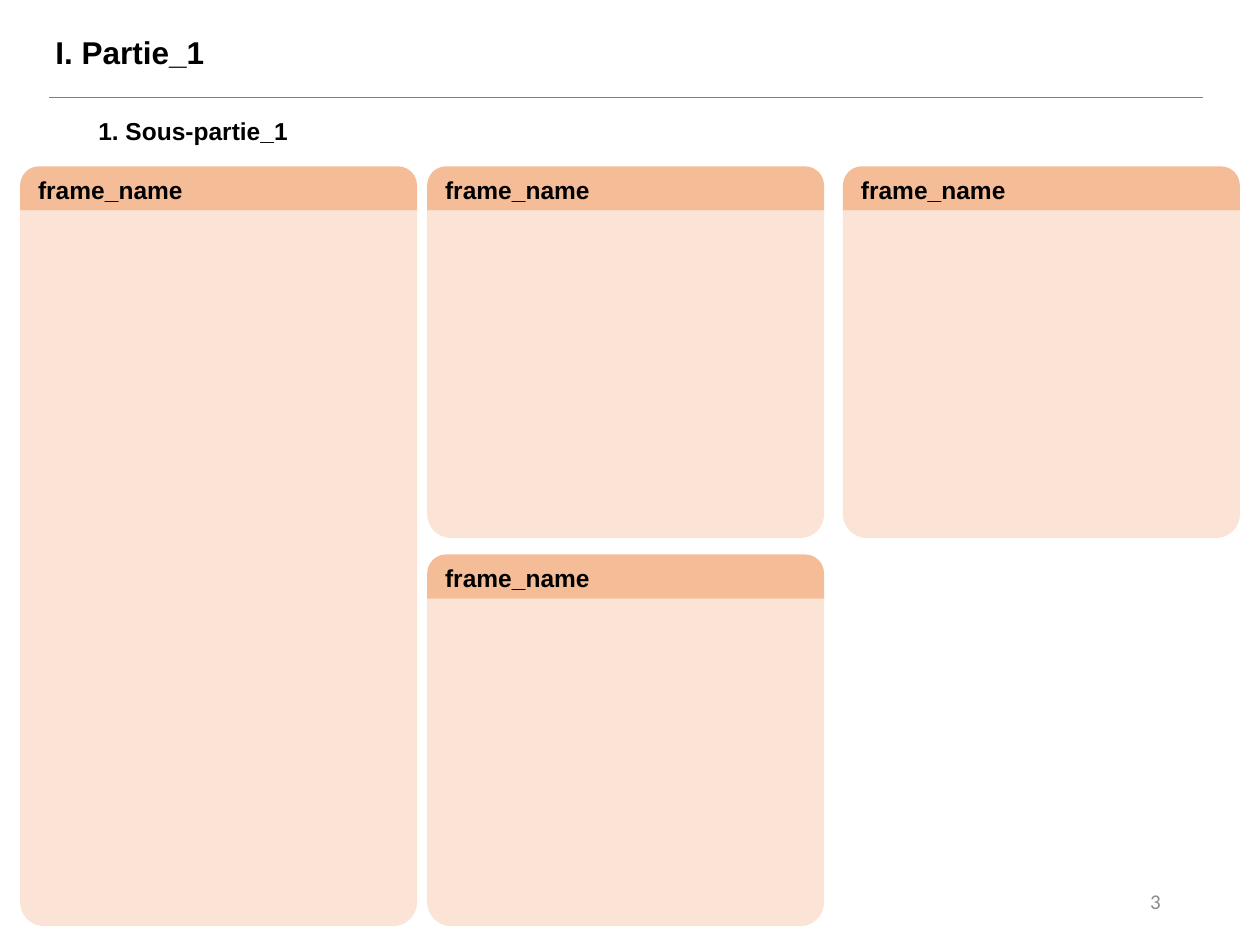
import dataclasses

import lxml.etree
import pptx
import pptx.dml.color
import pptx.enum.shapes
import pptx.enum.text
import pptx.oxml.ns
import pptx.util

Inches = pptx.util.Inches
Anchor = pptx.enum.text.MSO_ANCHOR
Align = pptx.enum.text.PP_ALIGN


@dataclasses.dataclass(frozen=True)
class Theme:
    """Colours, fonts and type sizes of the slide."""
    text: str = "000000"
    number: str = "8C8C8C"
    rule: str = "7F7F7F"
    header: str = "ED7D31"
    body: str = "F8CBAD"
    opacity: int = 50
    font: str = "Arial"
    number_font: str = "Calibri"
    title_size: int = 18
    heading_size: int = 14
    number_size: int = 12


class SlideBuilder:
    """Draws styled elements on the current slide."""

    def __init__(self, slide, theme):
        self.slide = slide
        self.theme = theme

    def label(self, shape, text, size, anchor, align=Align.LEFT, font=None, color=None, bold=True):
        """Put one formatted line of text in a shape."""
        frame = shape.text_frame
        frame.text = text
        frame.vertical_anchor = anchor
        paragraph = frame.paragraphs[0]
        paragraph.alignment = align
        paragraph.space_before = pptx.util.Pt(0)
        style = paragraph.runs[0].font
        style.name = font or self.theme.font
        style.size = pptx.util.Pt(size)
        style.bold = bold
        style.color.rgb = pptx.dml.color.RGBColor.from_string(color or self.theme.text)

    def heading(self, placeholder, text, size, left, top, width, height):
        """Place a title or body placeholder as a bullet-free heading."""
        placeholder.left, placeholder.top = Inches(left), Inches(top)
        placeholder.width, placeholder.height = Inches(width), Inches(height)
        self.label(placeholder, text, size, Anchor.TOP)
        placeholder.text_frame.word_wrap = False
        placeholder.text_frame.auto_size = pptx.enum.text.MSO_AUTO_SIZE.SHAPE_TO_FIT_TEXT
        properties = placeholder.text_frame.paragraphs[0]._p.get_or_add_pPr()
        properties.set("marL", "0")
        properties.set("indent", "0")
        lxml.etree.SubElement(properties, pptx.oxml.ns.qn("a:buNone"))

    def number(self, text, left, top, width, height):
        """Add the slide number."""
        box = self.slide.shapes.add_textbox(
            Inches(left), Inches(top), Inches(width), Inches(height))
        box.text_frame.word_wrap = True
        self.label(box, text, self.theme.number_size, Anchor.MIDDLE, Align.RIGHT,
                   self.theme.number_font, self.theme.number, False)

    def rule(self, left, right, top):
        """Draw a thin horizontal line."""
        line = self.slide.shapes.add_connector(
            pptx.enum.shapes.MSO_CONNECTOR.STRAIGHT,
            Inches(left), Inches(top), Inches(right), Inches(top))
        line.line.color.rgb = pptx.dml.color.RGBColor.from_string(self.theme.rule)
        line.line.width = pptx.util.Pt(0.5)
        lxml.etree.SubElement(line._element.spPr, pptx.oxml.ns.qn("a:effectLst"))

    def panel(self, shapes, left, top, width, height, radius, color):
        """Add a translucent rectangle with two rounded top corners."""
        shape = shapes.add_shape(
            pptx.enum.shapes.MSO_SHAPE.ROUND_2_SAME_RECTANGLE,
            Inches(left), Inches(top), Inches(width), Inches(height))
        shape.adjustments[0] = radius / min(width, height)
        shape.adjustments[1] = 0
        shape.shadow.inherit = False
        shape.line.fill.background()
        shape.fill.solid()
        shape.fill.fore_color.rgb = pptx.dml.color.RGBColor.from_string(color)
        fill_color = shape._element.spPr.find(".//" + pptx.oxml.ns.qn("a:srgbClr"))
        alpha = lxml.etree.SubElement(fill_color, pptx.oxml.ns.qn("a:alpha"))
        alpha.set("val", str(self.theme.opacity * 1000))
        return shape

    def frame(self, name, left, top, width, bottom, header_height=0.35):
        """Group a named header with the panel below it."""
        shapes = self.slide.shapes.add_group_shape().shapes
        body_top = top + header_height
        body = self.panel(shapes, left, body_top, width, bottom - body_top, 0.19, self.theme.body)
        body.rotation = 180
        header = self.panel(shapes, left, top, width, header_height, 0.15, self.theme.header)
        self.label(header, name, self.theme.heading_size, Anchor.BOTTOM)


def main():
    """Build and save the presentation."""
    presentation = pptx.Presentation()
    presentation.slide_width, presentation.slide_height = Inches(10), Inches(7.5)
    slide = presentation.slides.add_slide(presentation.slide_layouts[1])
    theme = Theme()
    builder = SlideBuilder(slide, theme)

    builder.number("3", 7.06, 6.95, 2.25, 0.4)
    builder.heading(slide.shapes.title, "I. Partie_1", theme.title_size, 0.34, 0.21, 1.39, 0.4)
    builder.rule(0.39, 9.55, 0.77)
    builder.heading(slide.placeholders[1], "1. Sous-partie_1", theme.heading_size,
                    0.68, 0.87, 1.71, 0.34)

    columns = (0.16, 3.39, 6.69)
    upper, lower = (1.32, 4.27), (4.4, 7.35)
    full = (upper[0], lower[1])
    for column, (top, bottom) in ((0, full), (1, upper), (1, lower), (2, upper)):
        builder.frame("frame_name", columns[column], top, 3.15, bottom)

    presentation.save("out.pptx")


if __name__ == "__main__":
    main()
